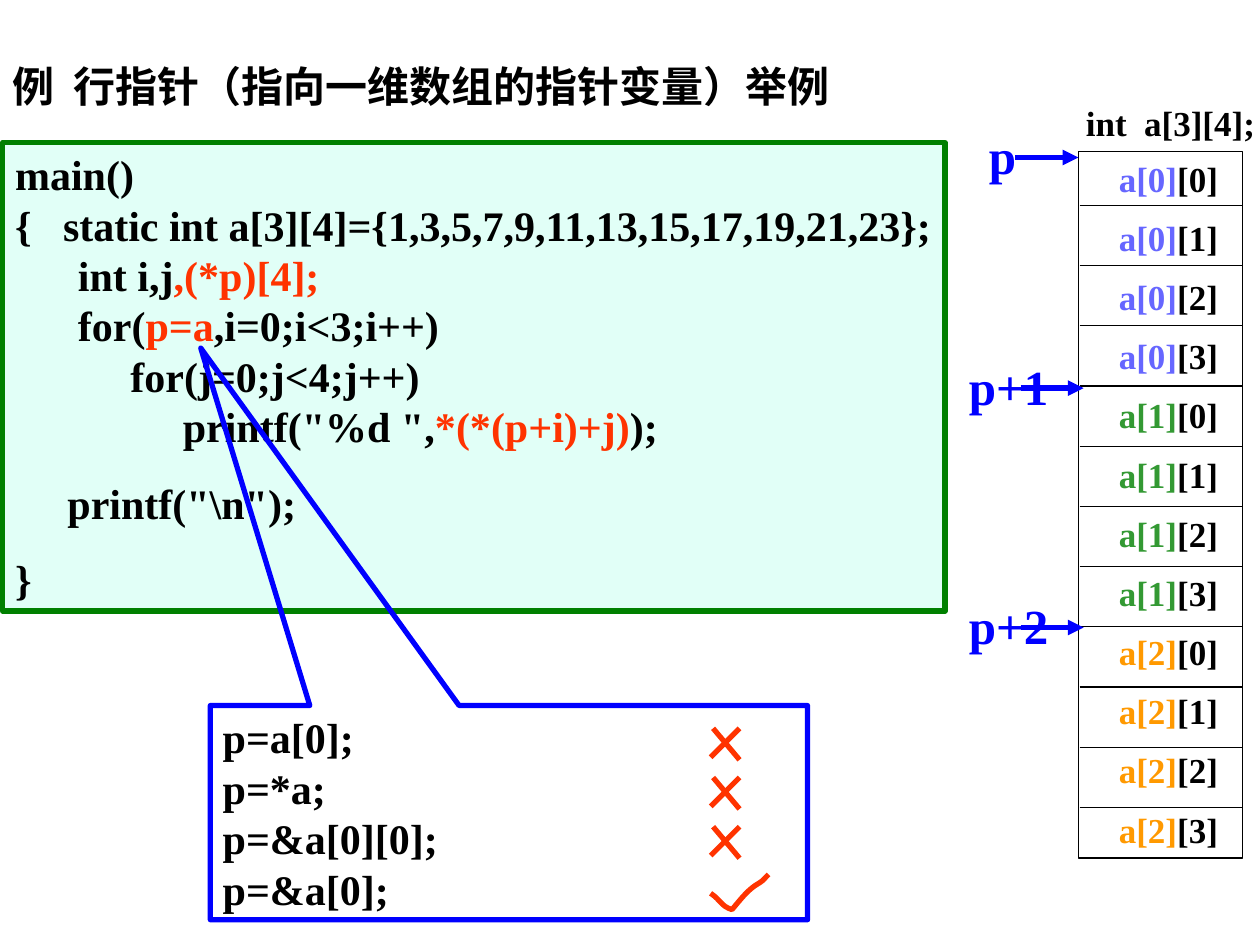
from dataclasses import dataclass

from lxml.etree import SubElement
from pptx import Presentation
from pptx.dml.color import RGBColor
from pptx.enum.shapes import MSO_CONNECTOR, MSO_SHAPE
from pptx.enum.text import MSO_ANCHOR, MSO_AUTO_SIZE, PP_ALIGN
from pptx.oxml.ns import qn
from pptx.util import Pt

FONT = "Times New Roman"
BLACK = RGBColor(0x00, 0x00, 0x00)
RED = RGBColor(0xFF, 0x33, 0x00)
BLUE = RGBColor(0x00, 0x00, 0xFF)
GREEN = RGBColor(0x00, 0x80, 0x00)
MINT = RGBColor(0xE1, 0xFF, 0xF7)
ROW_COLORS = (
    RGBColor(0x66, 0x66, 0xFF),
    RGBColor(0x33, 0x99, 0x33),
    RGBColor(0xFF, 0x99, 0x00),
)


@dataclass
class Run:
    text: str
    color: RGBColor = BLACK


@dataclass
class Line:
    runs: list[Run]
    space_before: float = 0


@dataclass
class Box:
    left: float
    top: float
    width: float
    height: float


@dataclass
class Pointer:
    label: str
    label_left: float
    label_width: float
    arrow_left: float
    y: float


CODE = [
    Line([Run("main()")]),
    Line([Run("{   static int a[3][4]={1,3,5,7,9,11,13,15,17,19,21,23};")]),
    Line([Run("      int i,j"), Run(",(*p)[4];", RED)]),
    Line([Run("      for("), Run("p=a", RED), Run(",i=0;i<3;i++)")]),
    Line([Run("           for(j=0;j<4;j++)")]),
    Line([Run('                printf("%d ",'), Run("*(*(p+i)+j)", RED), Run(");")]),
    Line([Run('     printf("\\n");')], 15),
    Line([Run("}")], 15),
]
ASSIGNMENTS = ["p=a[0];", "p=*a;", "p=&a[0][0];", "p=&a[0];"]
POINTERS = [
    Pointer("p", 558, 29.5, 580.3, 90),
    Pointer("p+1", 546.5, 59.8, 583.2, 221.8),
    Pointer("p+2", 546.5, 59.8, 583.2, 358.6),
]
# Tick mark: start point, then Bezier segments of two controls and an end
TICK_START = (406.1, 510.5)
TICK_CURVES = [
    ((411.8, 514.1), (411.8, 517.7), (418.3, 519.8)),
    ((422.6, 514.8), (426.2, 509.8), (431.3, 506.2)),
    ((437, 502.6), (434.9, 504), (439.2, 499.7)),
]


def write_lines(shape, lines: list[Line], size: float,
                alignment=PP_ALIGN.LEFT, anchor=MSO_ANCHOR.TOP, wrap=True) -> None:
    frame = shape.text_frame
    frame.word_wrap = wrap
    frame.vertical_anchor = anchor
    for index, line in enumerate(lines):
        paragraph = frame.add_paragraph() if index else frame.paragraphs[0]
        paragraph.alignment = alignment
        paragraph.space_before = Pt(line.space_before)
        for part in line.runs:
            run = paragraph.add_run()
            run.text = part.text
            run.font.name = FONT
            run.font.size = Pt(size)
            run.font.bold = True
            run.font.color.rgb = part.color


def place(box: Box) -> tuple:
    return Pt(box.left), Pt(box.top), Pt(box.width), Pt(box.height)


def add_label(slide, box: Box, runs: list[Run], size: float, **layout):
    shape = slide.shapes.add_textbox(*place(box))
    shape.text_frame.auto_size = MSO_AUTO_SIZE.SHAPE_TO_FIT_TEXT
    write_lines(shape, [Line(runs)], size, wrap=False, **layout)
    return shape


def add_panel(slide, kind, box: Box, color: RGBColor, weight: float, fill=None):
    shape = slide.shapes.add_shape(kind, *place(box))
    shape.shadow.inherit = False
    shape.line.color.rgb = color
    shape.line.width = Pt(weight)
    if fill is None:
        shape.fill.background()
    else:
        shape.fill.solid()
        shape.fill.fore_color.rgb = fill
    return shape


def add_line(slide, start: tuple, end: tuple, color: RGBColor,
             weight: float, arrow=False) -> None:
    line = slide.shapes.add_connector(
        MSO_CONNECTOR.STRAIGHT, *(Pt(value) for value in (*start, *end)))
    line.line.color.rgb = color
    line.line.width = Pt(weight)
    properties = line._element.spPr
    if arrow:
        SubElement(properties.find(qn("a:ln")), qn("a:tailEnd"), type="triangle")
    SubElement(properties, qn("a:effectLst"))


def add_tick(slide, steps: int = 8) -> None:
    points, start = [], TICK_START
    for first, second, end in TICK_CURVES:
        for step in range(1, steps + 1):
            t = step / steps
            u = 1 - t
            points.append(tuple(
                Pt(u**3 * a + 3 * u * u * t * b + 3 * u * t * t * c + t**3 * d)
                for a, b, c, d in zip(start, first, second, end)))
        start = end
    builder = slide.shapes.build_freeform(*(Pt(value) for value in TICK_START))
    builder.add_line_segments(points, close=False)
    tick = builder.convert_to_shape()
    tick.shadow.inherit = False
    tick.fill.background()
    tick.line.color.rgb = RED
    tick.line.width = Pt(3)


def add_array(slide) -> None:
    # The declaration reaches the slide edge, so it has no right margin
    declaration = add_label(slide, Box(613.4, 54.7, 106.6, 31.7),
                            [Run("int  a[3][4];")], 20)
    declaration.text_frame.margin_right = 0
    add_panel(slide, MSO_SHAPE.RECTANGLE, Box(616.3, 86.4, 93.6, 403.9), BLACK, 0.75)
    for index in range(12):
        row, column = divmod(index, 4)
        runs = [Run(f"a[{row}]", ROW_COLORS[row]), Run(f"[{column}]")]
        add_label(slide, Box(632.2, 86.4 + 33.8 * index, 71.3, 31.7), runs, 20)
        if index < 11:
            y = 117.4 + 34.4 * index
            add_line(slide, (617, y), (710, y), BLACK, 0.75)


def main() -> None:
    presentation = Presentation()
    presentation.slide_width, presentation.slide_height = Pt(720), Pt(540)
    slide = presentation.slides.add_slide(presentation.slide_layouts[5])

    # Title
    title = slide.shapes.title
    title.left, title.top, title.width, title.height = place(Box(0, 31, 563.8, 36))
    write_lines(title, [Line([Run("例  行指针（指向一维数组的指针变量）举例")])], 24)

    # Program listing
    listing = add_panel(slide, MSO_SHAPE.RECTANGLE, Box(1.5, 81.4, 538.5, 267.8),
                        GREEN, 3, MINT)
    listing.text_frame.margin_right = 0
    write_lines(listing, CODE, 24)

    # Callout with the candidate assignments, three wrong and one right
    callout = add_panel(slide, MSO_SHAPE.RECTANGULAR_CALLOUT,
                        Box(120.2, 403.2, 341.3, 122.4), BLUE, 3)
    callout.adjustments[0], callout.adjustments[1] = -0.516, -2.169
    write_lines(callout, [Line([Run(text)]) for text in ASSIGNMENTS], 24,
                anchor=MSO_ANCHOR.MIDDLE)
    for index in range(3):
        y = 416.2 + 28.1 * index
        add_line(slide, (407.5, y), (422.6, y + 18), RED, 3)
        add_line(slide, (422.6, y), (406.1, y + 16.5), RED, 3)
    add_tick(slide)

    # Array cells and row pointers
    add_array(slide)
    for pointer in POINTERS:
        add_line(slide, (pointer.arrow_left, pointer.y),
                 (pointer.arrow_left + 36, pointer.y), BLUE, 3, arrow=True)
        box = Box(pointer.label_left, pointer.y - 22, pointer.label_width, 41)
        add_label(slide, box, [Run(pointer.label, BLUE)], 28,
                  alignment=PP_ALIGN.CENTER, anchor=MSO_ANCHOR.MIDDLE)

    presentation.save("out.pptx")


if __name__ == "__main__":
    main()
